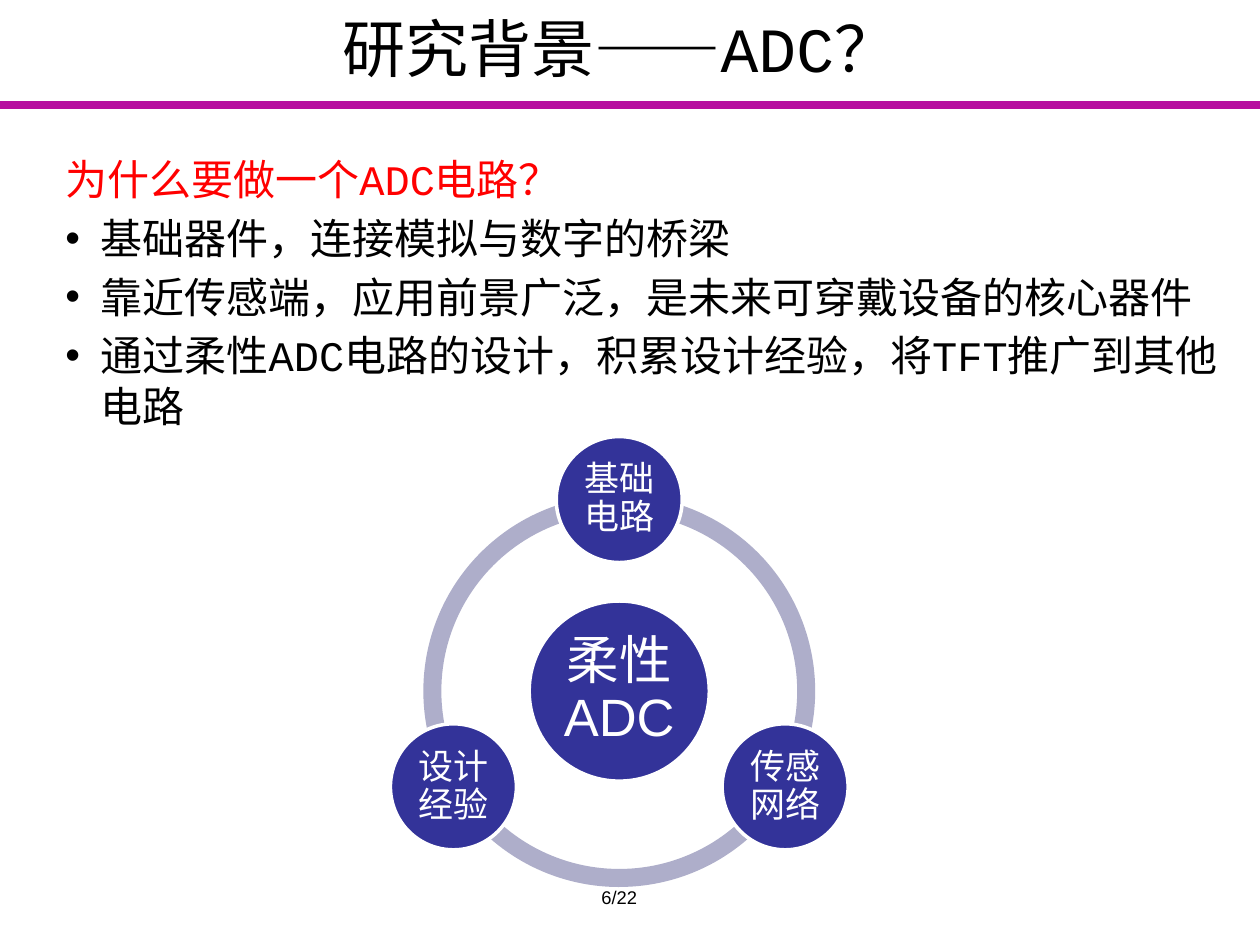
from math import cos, radians, sin

from lxml import etree
from pptx import Presentation
from pptx.dml.color import RGBColor
from pptx.enum.shapes import MSO_CONNECTOR, MSO_SHAPE
from pptx.enum.text import MSO_ANCHOR, PP_ALIGN
from pptx.oxml.ns import qn
from pptx.util import Inches, Pt

ARC, OVAL = MSO_SHAPE.BLOCK_ARC, MSO_SHAPE.OVAL
STRAIGHT = MSO_CONNECTOR.STRAIGHT
MIDDLE, CENTER = MSO_ANCHOR.MIDDLE, PP_ALIGN.CENTER

deck = Presentation()
deck.slide_width, deck.slide_height = Inches(10), Inches(7.5)
slide = deck.slides.add_slide(deck.slide_layouts[6])
COL = deck.slide_width / 100
ROW = deck.slide_height / 75


def grid(left, top, width, height):
    return [round(n) for n in (left * COL, top * ROW, width * COL, height * ROW)]


def style(paragraph, size, face, color):
    paragraph.font.size = Pt(size)
    paragraph.font.name = face
    paragraph.font.color.rgb = RGBColor.from_string(color)


rule_y = round(8.3 * ROW)
title_rule = slide.shapes.add_connector(STRAIGHT, 0, rule_y, deck.slide_width, rule_y)
title_rule.line.color.rgb = RGBColor.from_string("B70D9F")
title_rule.line.width = Pt(4.5)
etree.SubElement(title_rule._element.spPr, qn("a:effectLst"))

title = slide.shapes.add_textbox(*grid(4.2, -2.5, 90, 12.5)).text_frame
title.word_wrap = True
title.vertical_anchor = MIDDLE
title.text = "研究背景——ADC？"
title.paragraphs[0].alignment = CENTER
style(title.paragraphs[0], 36, "Courier New", "000000")

reasons = slide.shapes.add_textbox(*grid(4.2, 11.7, 95.8, 56.5)).text_frame
reasons.word_wrap = True
reasons.text = "\n".join([
    "为什么要做一个ADC电路？",
    "基础器件，连接模拟与数字的桥梁",
    "靠近传感端，应用前景广泛，是未来可穿戴设备的核心器件",
    "通过柔性ADC电路的设计，积累设计经验，将TFT推广到其他电路",
])
question, *answers = reasons.paragraphs
style(question, 24, "Courier New", "FF0000")
question.space_before = Pt(4.8)
for answer in answers:
    style(answer, 24, "Courier New", "000000")
    answer.space_before = Pt(4.8)
    properties = answer._p.get_or_add_pPr()
    indent = round(2.8 * COL)
    properties.set("marL", str(indent))
    properties.set("indent", str(-indent))
    etree.SubElement(properties, qn("a:buFont")).set("typeface", "Arial")
    etree.SubElement(properties, qn("a:buChar")).set("char", "•")

hub_x, hub_y = 49.15, 54.85
ring_size, orbit = 31.1, 15.2
ring_box = grid(hub_x - ring_size / 2, hub_y - ring_size / 2, ring_size, ring_size)
for start, end in [(90, 162), (18, 90), (162, 18)]:
    arc = slide.shapes.add_shape(ARC, *ring_box)
    arc.shadow.inherit = False
    arc.fill.solid()
    arc.fill.fore_color.rgb = RGBColor.from_string("AEAECA")
    arc.line.fill.background()
    arc.adjustments[0] = start * 0.6
    arc.adjustments[1] = end * 0.6
    arc.adjustments[2] = 0.046

circles = [("柔性ADC", hub_x, hub_y, 14.3, 30, 0.4)]
for index, topic in enumerate(["基础电路", "传感网络", "设计经验"]):
    angle = radians(120 * index - 90)
    circles.append((topic, hub_x + orbit * cos(angle), hub_y + orbit * sin(angle), 10, 20, 0.3))

for topic, x, y, size, points, inset in circles:
    circle = slide.shapes.add_shape(OVAL, *grid(x - size / 2, y - size / 2, size, size))
    circle.shadow.inherit = False
    circle.fill.solid()
    circle.fill.fore_color.rgb = RGBColor.from_string("333399")
    circle.line.color.rgb = RGBColor.from_string("FFFFFF")
    circle.line.width = Pt(2)
    label = circle.text_frame
    label.word_wrap = True
    label.vertical_anchor = MIDDLE
    label.margin_left = label.margin_right = round(inset * COL)
    label.margin_top = label.margin_bottom = round(inset * ROW)
    label.text = topic
    label.paragraphs[0].alignment = CENTER
    label.paragraphs[0].line_spacing = 0.9
    style(label.paragraphs[0], points, "Arial", "FFFFFF")

page_number = slide.shapes.add_textbox(*grid(33.3, 69.8, 31.7, 5.2)).text_frame
page_number.word_wrap = True
page_number.text = "6/22"
page_number.paragraphs[0].alignment = CENTER
style(page_number.paragraphs[0], 10.5, "Arial", "000000")

deck.save("out.pptx")
